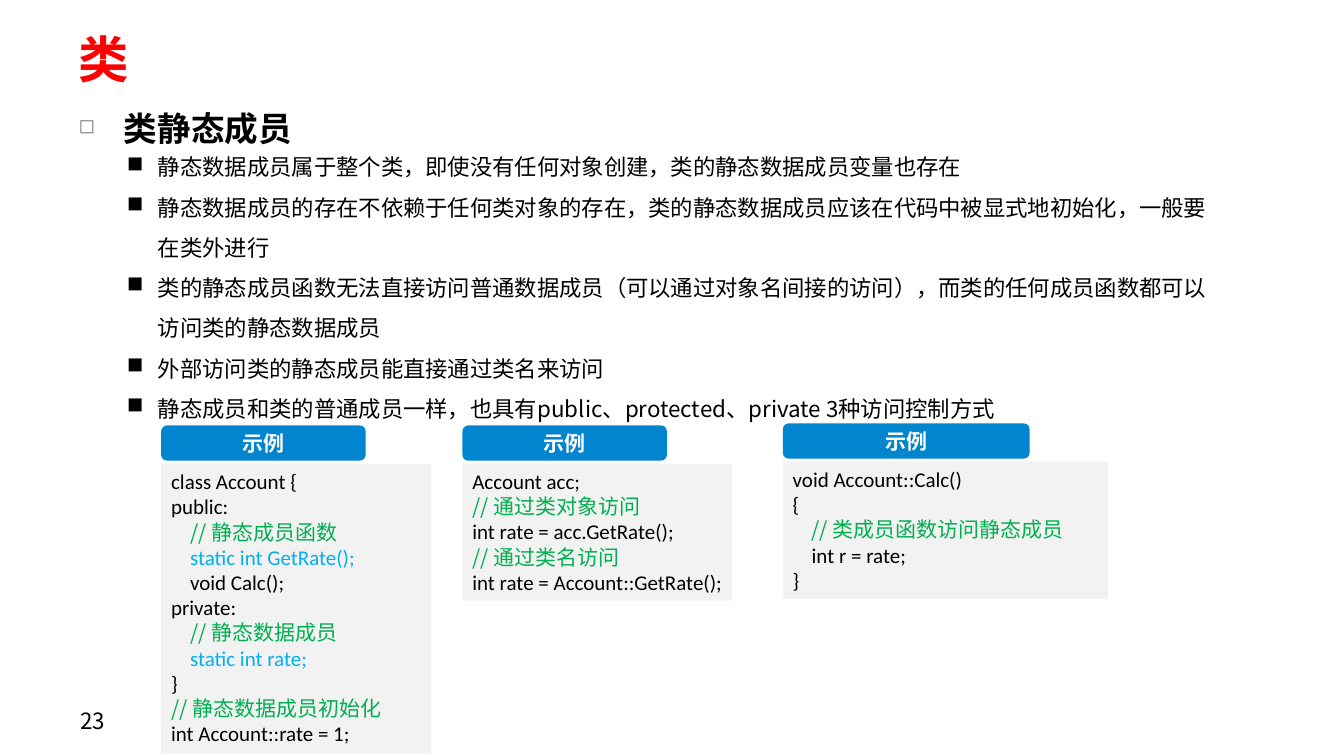
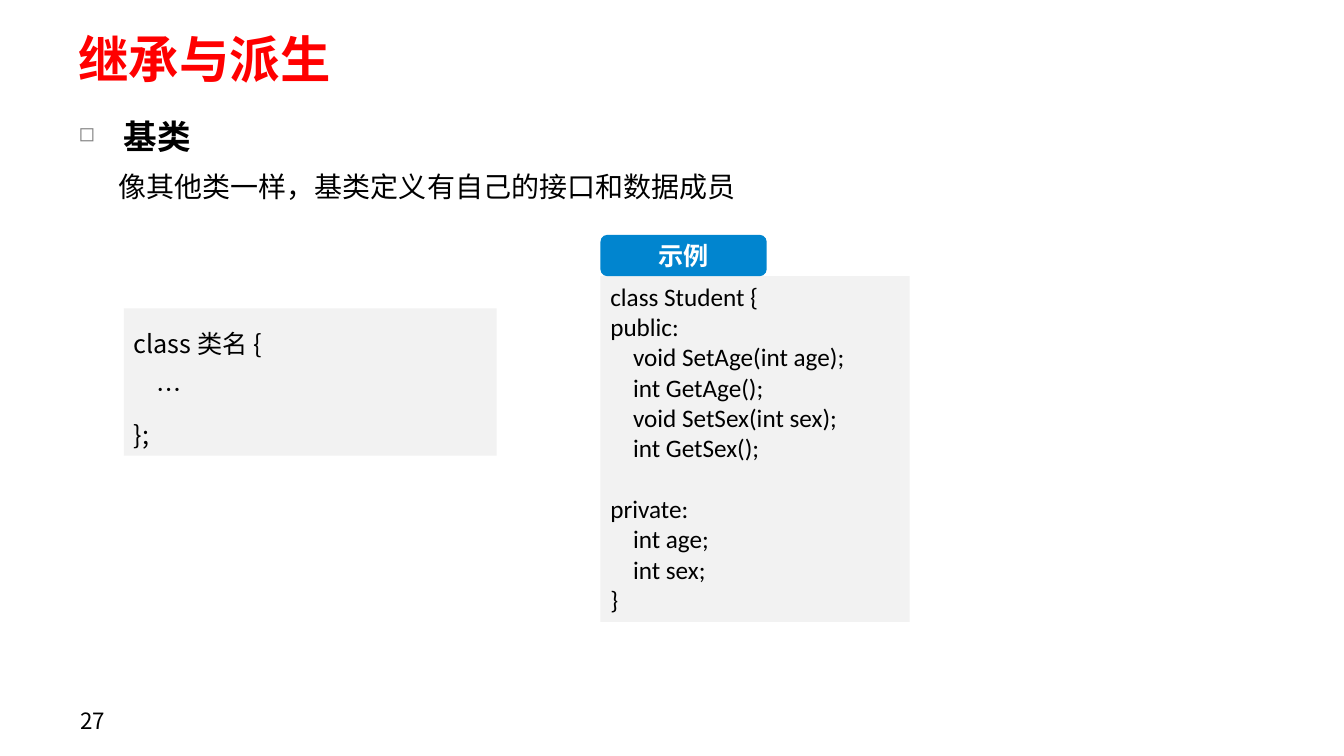
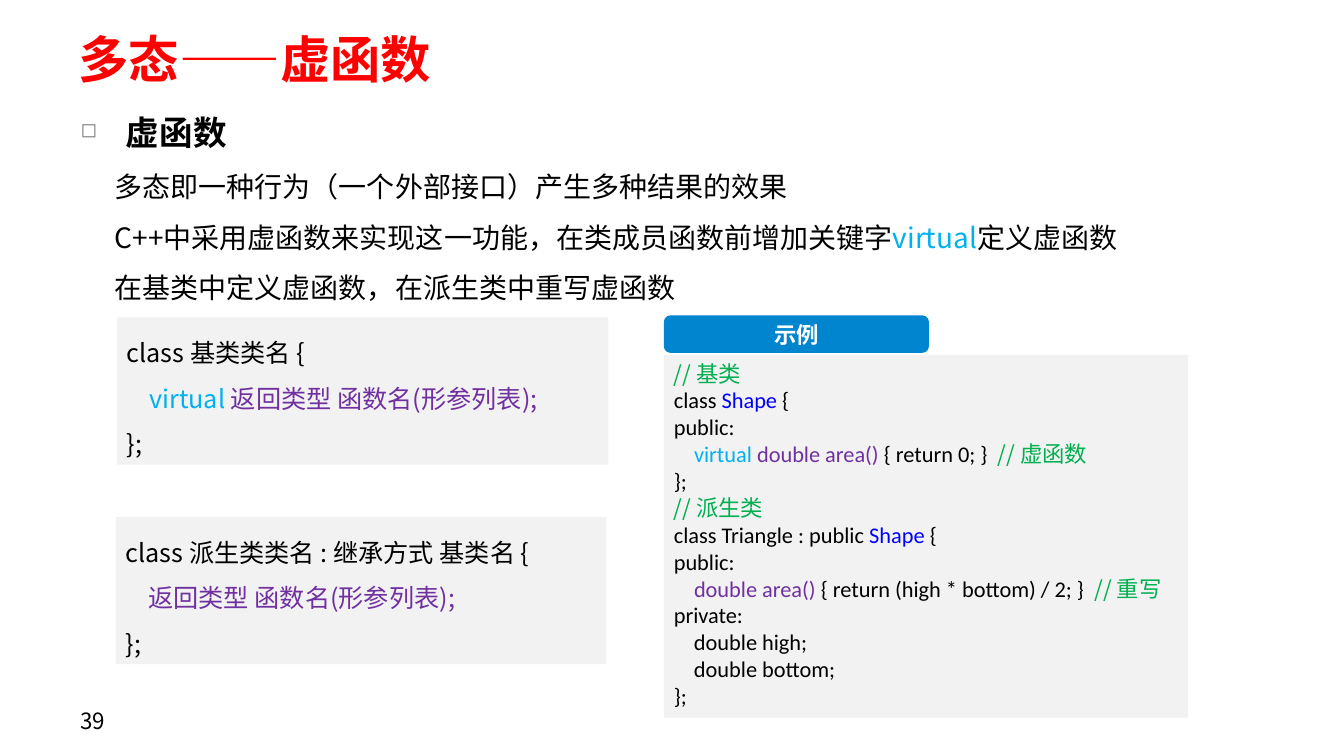
from lxml import etree
from pptx import Presentation
from pptx.dml.color import RGBColor
from pptx.enum.shapes import MSO_SHAPE
from pptx.enum.text import MSO_ANCHOR, MSO_AUTO_SIZE, PP_ALIGN
from pptx.oxml.ns import qn
from pptx.util import Inches, Pt

RECT = MSO_SHAPE.RECTANGLE
ROUND_RECT = MSO_SHAPE.ROUNDED_RECTANGLE
TOP, MIDDLE = MSO_ANCHOR.TOP, MSO_ANCHOR.MIDDLE
LEFT, CENTER = PP_ALIGN.LEFT, PP_ALIGN.CENTER
NO_AUTOFIT = MSO_AUTO_SIZE.NONE

COLORS = {
    "title": "FF0000",
    "text": "000000",
    "panel": "F2F2F2",
    "tab": "0185CF",
    "white": "FFFFFF",
    "bullet": "808080",
    "comment": "00B050",
    "keyword": "00B0F0",
    "class": "0000FF",
    "method": "7030A0",
}
CJK_FONT = "Noto Sans CJK SC"
CODE_FONT = "Calibri"
TITLE_ONLY = 5

# Insets: horizontal, vertical
WIDE_INSET = (0.13, 0.07)
TEXT_INSET = (0.1, 0.05)
TAB_INSET = (0.06, 0.03)

# Bullets: indent, character, colour, size in percent
HEADING_BULLET = (0.45, "◻", "bullet", 60)
POINT_BULLET = (0.31, "■", "text", 100)


def rgb(key):
    return RGBColor.from_string(COLORS[key])


def box(left, top, width, height):
    return [Inches(value) for value in (left, top, width, height)]


def format_frame(frame, inset=TEXT_INSET, anchor=TOP):
    across, down = (Inches(value) for value in inset)
    values = {
        "word_wrap": True, "auto_size": NO_AUTOFIT, "vertical_anchor": anchor,
        "margin_left": across, "margin_right": across,
        "margin_top": down, "margin_bottom": down,
    }
    for name, value in values.items():
        setattr(frame, name, value)


def add_run(paragraph, text, size, color="text", font=CJK_FONT, bold=False):
    run = paragraph.add_run()
    run.text = text
    for name, value in {"size": Pt(size), "name": font, "bold": bold}.items():
        setattr(run.font, name, value)
    run.font.color.rgb = rgb(color)
    latin = run._r.rPr.find(qn("a:latin"))
    east_asian = etree.Element(qn("a:ea"), typeface=CJK_FONT)
    latin.addnext(east_asian)


def add_bullet(paragraph, indent, char, color, percent):
    properties = paragraph._p.get_or_add_pPr()
    properties.set("marL", str(Inches(indent)))
    properties.set("indent", str(-Inches(indent)))
    bullet_color = etree.SubElement(properties, qn("a:buClr"))
    etree.SubElement(bullet_color, qn("a:srgbClr"), val=COLORS[color])
    etree.SubElement(properties, qn("a:buSzPct"), val=str(percent * 1000))
    etree.SubElement(properties, qn("a:buChar"), char=char)


def write_lines(frame, lines, size, spacing=1.0, align=LEFT, bullet=None, **style):
    """Each line is a string or a list of (text, colour key) parts.

    An empty line becomes space before the next paragraph.
    """
    paragraph, gap = frame.paragraphs[0], False
    for number, line in enumerate(lines):
        if not line:
            gap = True
            continue
        if number:
            paragraph = frame.add_paragraph()
        if bullet:
            add_bullet(paragraph, *bullet)
        paragraph.alignment = align
        paragraph.line_spacing = spacing
        paragraph.space_before = Pt(size * 1.22 if gap else 0)
        gap = False
        parts = [(line, style.get("color", "text"))] if isinstance(line, str) else line
        for text, color in parts:
            part_style = {**style, "color": color}
            if color == "comment":
                part_style["font"] = CJK_FONT
            add_run(paragraph, text, size, **part_style)


def add_text(slide, place, lines, size, inset=TEXT_INSET, anchor=TOP, **style):
    frame = slide.shapes.add_textbox(*box(*place)).text_frame
    format_frame(frame, inset, anchor)
    write_lines(frame, lines, size, **style)


def add_filled(slide, preset, place, fill, inset=TEXT_INSET, anchor=TOP):
    shape = slide.shapes.add_shape(preset, *box(*place))
    shape.shadow.inherit = False
    shape.fill.solid()
    shape.fill.fore_color.rgb = rgb(fill)
    shape.line.fill.background()
    format_frame(shape.text_frame, inset, anchor)
    return shape.text_frame


def add_syntax(slide, place, lines):
    """Grey panel with a general form."""
    write_lines(add_filled(slide, RECT, place, "panel"), lines, 18, spacing=1.5)


def add_example(slide, tab, panel_size, gap, lines, size):
    """Blue tab with a grey code panel below it."""
    left, top, _, height = tab
    panel = add_filled(slide, RECT, (left, top + height + gap, *panel_size), "panel")
    panel.margin_right = Inches(0.05)
    write_lines(panel, lines, size, font=CODE_FONT)
    label = add_filled(slide, ROUND_RECT, tab, "tab", TAB_INSET, MIDDLE)
    write_lines(label, ["示例"], size, align=CENTER, color="white", bold=True)


def add_slide(prs, title, heading, heading_place, number):
    """Title, bulleted heading and page number."""
    slide = prs.slides.add_slide(prs.slide_layouts[TITLE_ONLY])
    holder = slide.shapes.title
    holder.left, holder.top, holder.width, holder.height = box(0.65, 0.28, 12.13, 0.59)
    format_frame(holder.text_frame, WIDE_INSET, MIDDLE)
    write_lines(holder.text_frame, [title], 36, color="title", bold=True)
    add_text(slide, heading_place, [heading], 24, WIDE_INSET,
             spacing=1.4, bullet=HEADING_BULLET, bold=True)
    add_text(slide, (0.67, 6.95, 3.11, 0.4), [number], 16, WIDE_INSET, MIDDLE)
    return slide


def build_static_members(prs):
    slide = add_slide(prs, "类", "类静态成员", (0.65, 0.84, 12.13, 0.71), "23")
    add_text(slide, (1.16, 1.34, 11.02, 2.93), [
        "静态数据成员属于整个类，即使没有任何对象创建，类的静态数据成员变量也存在",
        "静态数据成员的存在不依赖于任何类对象的存在，类的静态数据成员应该在代码中被显式地初始化，一般要在类外进行",
        "类的静态成员函数无法直接访问普通数据成员（可以通过对象名间接的访问），而类的任何成员函数都可以访问类的静态数据成员",
        "外部访问类的静态成员能直接通过类名来访问",
        "静态成员和类的普通成员一样，也具有public、protected、private 3种访问控制方式",
    ], 16, spacing=1.5, bullet=POINT_BULLET)

    declaration = [
        "class Account {",
        "public:",
        [("    ", "text"), ("// 静态成员函数", "comment")],
        [("    ", "text"), ("static int GetRate();", "keyword")],
        "    void Calc();",
        "private:",
        [("    ", "text"), ("// 静态数据成员", "comment")],
        [("    ", "text"), ("static int rate;", "keyword")],
        "}",
        [("// 静态数据成员初始化", "comment")],
        "int Account::rate = 1;",
    ]
    outside_access = [
        "Account acc;",
        [("// 通过类对象访问", "comment")],
        "int rate = acc.GetRate();",
        [("// 通过类名访问", "comment")],
        "int rate = Account::GetRate();",
    ]
    member_access = [
        "void Account::Calc()",
        "{",
        [("    ", "text"), ("// 类成员函数访问静态成员", "comment")],
        "    int r = rate;",
        "}",
    ]
    for tab, panel_size, code in (
        ((1.6, 4.22, 2.03, 0.35), (2.68, 2.88), declaration),
        ((4.59, 4.22, 2.03, 0.35), (2.68, 1.36), outside_access),
        ((7.77, 4.2, 2.45, 0.35), (3.23, 1.36), member_access),
    ):
        add_example(slide, tab, panel_size, 0.03, code, 15)


def build_base_class(prs):
    slide = add_slide(prs, "继承与派生", "基类", (0.65, 0.92, 12.13, 0.71), "27")
    add_text(slide, (1.08, 1.47, 11.34, 0.55),
             ["像其他类一样，基类定义有自己的接口和数据成员"], 20, spacing=1.5)
    add_syntax(slide, (1.23, 3.06, 3.7, 1.46), ["class 类名 {", "    …", "};"])
    add_example(slide, (5.96, 2.33, 1.65, 0.41), (3.07, 3.43), 0, [
        "class Student {",
        "public:",
        "    void SetAge(int age);",
        "    int GetAge();",
        "    void SetSex(int sex);",
        "    int GetSex();",
        "",
        "private:",
        "    int age;",
        "    int sex;",
        "}",
    ], 18)


def build_virtual_functions(prs):
    slide = add_slide(prs, "多态——虚函数", "虚函数", (0.67, 0.88, 11.28, 0.83), "39")
    add_text(slide, (1.04, 1.47, 11.85, 1.62), [
        "多态即一种行为（一个外部接口）产生多种结果的效果",
        [("C++中采用虚函数来实现这一功能，在类成员函数前增加关键字", "text"),
         ("virtual", "keyword"), ("定义虚函数", "text")],
        "在基类中定义虚函数，在派生类中重写虚函数",
    ], 20, spacing=1.5)

    add_example(slide, (6.59, 3.13, 2.63, 0.37), (5.2, 3.6), 0.02, [
        [("// 基类", "comment")],
        [("class ", "text"), ("Shape", "class"), (" {", "text")],
        "public:",
        [("    ", "text"), ("virtual ", "keyword"), ("double area()", "method"),
         (" { return 0; }  ", "text"), ("// 虚函数", "comment")],
        "};",
        [("// 派生类", "comment")],
        [("class Triangle : public ", "text"), ("Shape", "class"), (" {", "text")],
        "public:",
        [("    ", "text"), ("double area()", "method"),
         (" { return (high * bottom) / 2; }  ", "text"), ("// 重写", "comment")],
        "private:",
        "    double high;",
        "    double bottom;",
        "};",
    ], 16)

    signature = ("返回类型 函数名(形参列表);", "method")
    add_syntax(slide, (1.16, 3.15, 4.88, 1.46), [
        "class 基类类名 {",
        [("    ", "text"), ("virtual ", "keyword"), signature],
        "};",
    ])
    add_syntax(slide, (1.15, 5.13, 4.87, 1.46), [
        "class 派生类类名 : 继承方式 基类名 {",
        [("    ", "text"), signature],
        "};",
    ])


def main():
    prs = Presentation()
    prs.slide_width, prs.slide_height = Inches(13.34), Inches(7.5)
    build_static_members(prs)
    build_base_class(prs)
    build_virtual_functions(prs)
    prs.save("out.pptx")


if __name__ == "__main__":
    main()
